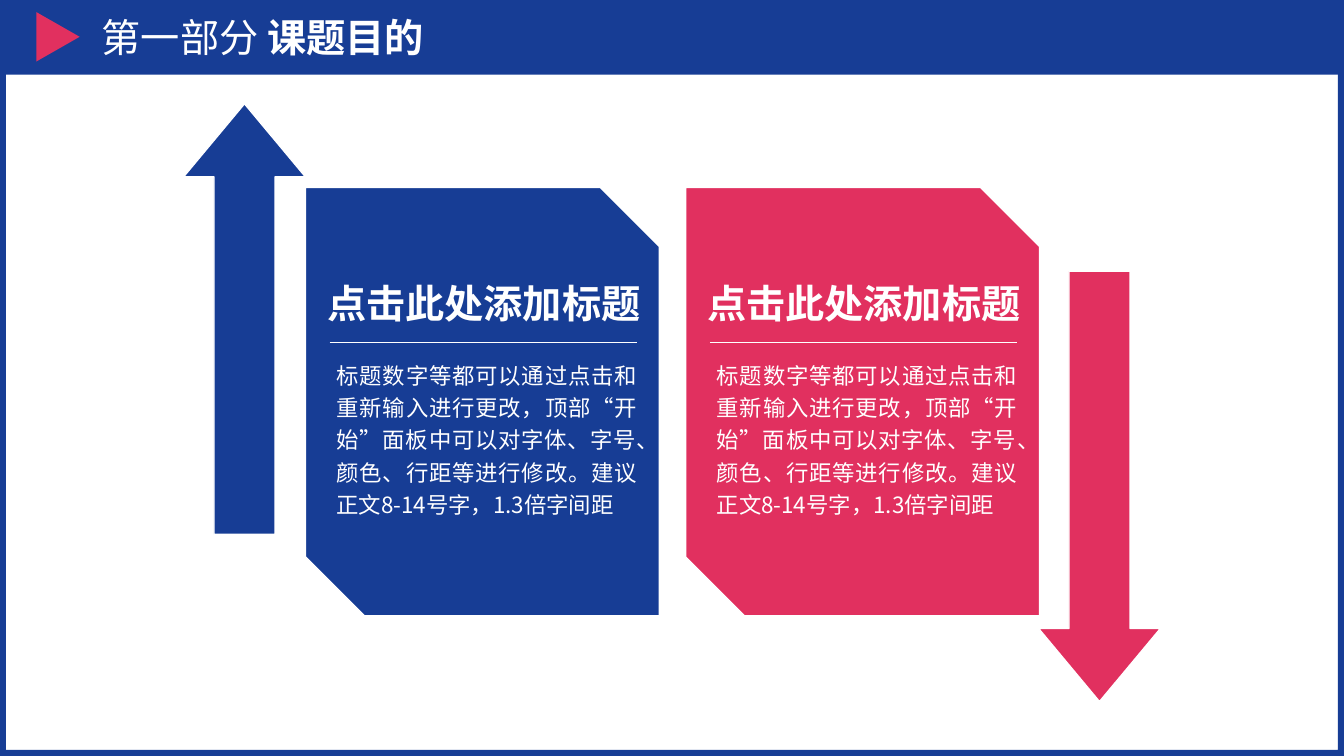
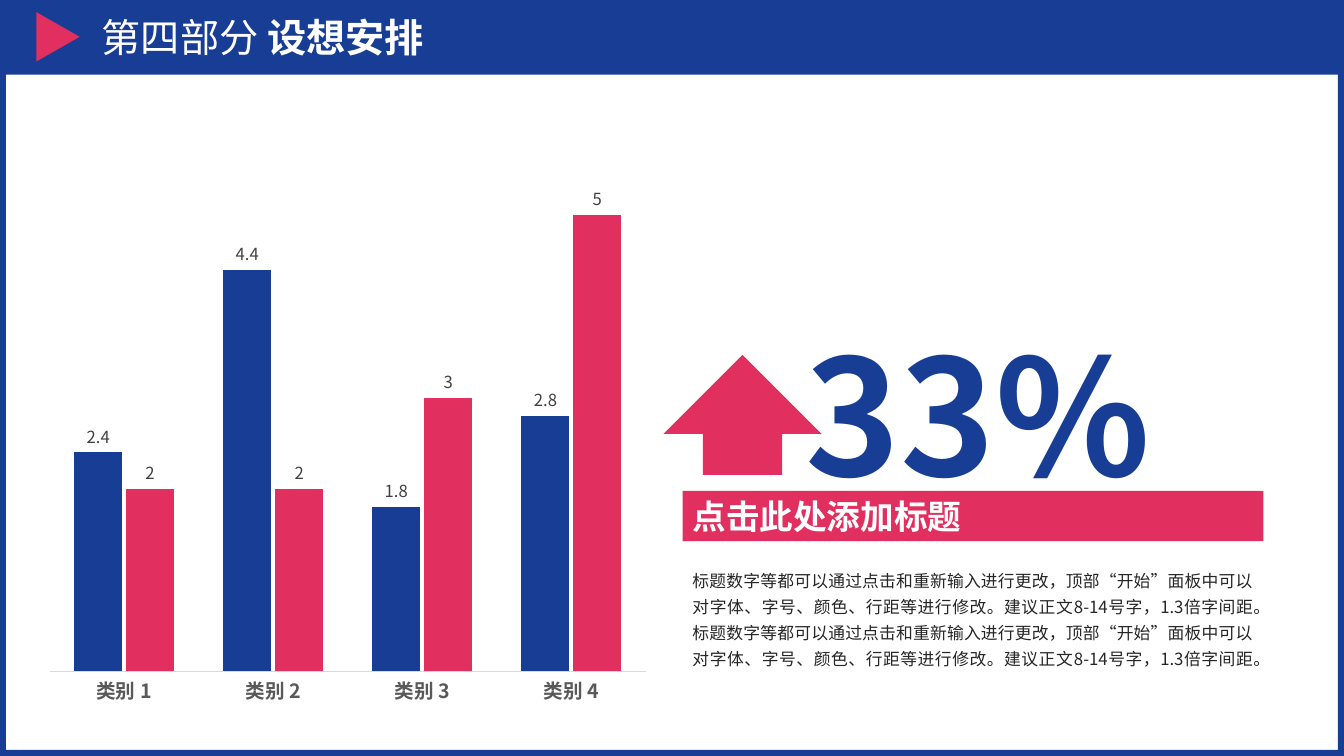
import dataclasses

import lxml.etree
import pptx
import pptx.chart.data
import pptx.dml.color
import pptx.enum.chart
import pptx.enum.shapes
import pptx.enum.text
import pptx.oxml.ns
import pptx.util

Inches = pptx.util.Inches
Pt = pptx.util.Pt
Color = pptx.dml.color.RGBColor
Shape = pptx.enum.shapes.MSO_SHAPE
Align = pptx.enum.text.PP_ALIGN
Anchor = pptx.enum.text.MSO_ANCHOR
Fit = pptx.enum.text.MSO_AUTO_SIZE
qn = pptx.oxml.ns.qn


@dataclasses.dataclass(frozen=True)
class Theme:
    face: str = "Noto Sans CJK SC"
    blue: Color = Color(0x17, 0x3D, 0x95)
    red: Color = Color(0xE1, 0x30, 0x5F)
    white: Color = Color(0xFF, 0xFF, 0xFF)
    ink: Color = Color(0x26, 0x26, 0x26)
    label: Color = Color(0x40, 0x40, 0x40)
    tick: Color = Color(0x59, 0x59, 0x59)
    axis: Color = Color(0xD9, 0xD9, 0xD9)
    title: float = 28
    bar: float = 24
    body: float = 16
    note: float = 12
    huge: float = 115


THEME = Theme()
HEAD = "点击此处添加标题"
BODY = ("标题数字等都可以通过点击和重新输入进行更改，顶部“开始”面板中可以"
        "对字体、字号、颜色、行距等进行修改。建议正文8-14号字，1.3倍字间距")


def style(font, size, color, bold=False):
    font.name = THEME.face
    font.size = Pt(size)
    font.bold = bold
    font.color.rgb = color


def style_para(para, size, color, bold=False, align=Align.LEFT, lead=None):
    style(para.font, size, color, bold)
    east = lxml.etree.SubElement(para._p.pPr.find(qn("a:defRPr")), qn("a:ea"))
    east.set("typeface", THEME.face)
    para.alignment = align
    if lead:
        para.line_spacing = lead


def add_form(slide, kind, box, fill, edge=None):
    form = slide.shapes.add_shape(kind, *map(Inches, box))
    form.shadow.inherit = False
    form.fill.solid()
    form.fill.fore_color.rgb = fill
    if edge is None:
        form.line.fill.background()
    else:
        form.line.color.rgb = edge
        form.line.width = Pt(1)
    return form


def add_text(slide, box, text, size, color, wrap=True, **look):
    frame = slide.shapes.add_textbox(*map(Inches, box)).text_frame
    frame.word_wrap = wrap
    frame.auto_size = Fit.SHAPE_TO_FIT_TEXT
    para = frame.paragraphs[0]
    para.text = text
    style_para(para, size, color, **look)


def add_rule(slide, left, top, width):
    rule = slide.shapes.add_connector(
        pptx.enum.shapes.MSO_CONNECTOR.STRAIGHT,
        Inches(left), Inches(top), Inches(left + width), Inches(top))
    rule.line.color.rgb = THEME.white
    rule.line.width = Pt(0.25)
    lxml.etree.SubElement(rule.element.spPr, qn("a:effectLst"))


def dress_layout(layout, slide):
    frame = add_form(slide, Shape.FRAME, (0, 0, 13.33, 7.5), THEME.blue)
    frame.adjustments[0] = 0.008
    band = add_form(slide, Shape.RECTANGLE, (0, 0, 13.33, 0.74), THEME.blue)
    mark = add_form(slide, Shape.ISOSCELES_TRIANGLE,
                    (0.33, 0.15, 0.49, 0.43), THEME.red)
    mark.rotation = 90
    for spot, part in enumerate((frame, band, mark), 2):
        layout.shapes.element.insert(spot, part.element)


def set_title(slide, part, topic):
    title = slide.shapes.title
    title.left, title.top = Inches(0.91), Inches(0)
    title.width, title.height = Inches(11.98), Inches(0.74)
    title.text_frame.vertical_anchor = Anchor.MIDDLE
    para = title.text_frame.paragraphs[0]
    para.space_before = Pt(10)
    para.add_run().text = part + " "
    run = para.add_run()
    run.text = topic
    run.font.bold = True
    style_para(para, THEME.title, THEME.white)


def add_card(slide, left, top, color):
    add_form(slide, Shape.SNIP_2_DIAG_RECTANGLE,
             (left, top, 3.51, 4.25), color, THEME.white)
    add_text(slide, (left + 0.08, top + 0.86, 3.34, 0.57), HEAD,
             THEME.title, THEME.white, wrap=False, bold=True,
             align=Align.RIGHT)
    add_rule(slide, left + 0.24, top + 1.53, 3.05)
    add_text(slide, (left + 0.21, top + 1.63, 3.18, 1.72), BODY,
             THEME.body, THEME.white, align=Align.JUSTIFY, lead=1.2)


def add_arrow(slide, kind, left, top, color):
    arrow = add_form(slide, kind, (left, top, 1.21, 4.27), color, THEME.white)
    arrow.adjustments[0] = 0.5
    arrow.adjustments[1] = 0.6


def fill_goals(slide):
    set_title(slide, "第一部分", "课题目的")
    add_card(slide, 3.03, 1.86, THEME.blue)
    add_card(slide, 6.8, 1.86, THEME.red)
    add_arrow(slide, Shape.UP_ARROW, 1.82, 1.03, THEME.blue)
    add_arrow(slide, Shape.DOWN_ARROW, 10.3, 2.69, THEME.red)


def add_bars(slide, box):
    data = pptx.chart.data.CategoryChartData()
    data.categories = [f"类别 {n}" for n in range(1, 5)]
    data.add_series("Series 1", (2.4, 4.4, 1.8, 2.8))
    data.add_series("Series 2", (2, 2, 3, 5))
    chart = slide.shapes.add_chart(
        pptx.enum.chart.XL_CHART_TYPE.COLUMN_CLUSTERED,
        *map(Inches, box), data).chart
    chart.has_legend = False
    chart.has_title = False
    chart.font.name = THEME.face
    chart.font.size = Pt(10)
    value = chart.value_axis
    value.visible = False
    value.has_major_gridlines = False
    value.minimum_scale, value.maximum_scale = 0, 6
    base = chart.category_axis
    base.major_tick_mark = pptx.enum.chart.XL_TICK_MARK.NONE
    base.format.line.color.rgb = THEME.axis
    base.format.line.width = Pt(0.75)
    style(base.tick_labels.font, 14, THEME.tick, True)
    plot = chart.plots[0]
    plot.gap_width, plot.overlap = 102, -8
    plot.vary_by_categories = False
    for series, color in zip(plot.series, (THEME.blue, THEME.red)):
        series.format.fill.solid()
        series.format.fill.fore_color.rgb = color
        labels = series.data_labels
        labels.show_value = True
        labels.position = pptx.enum.chart.XL_LABEL_POSITION.OUTSIDE_END
        style(labels.font, 11.9, THEME.label)


def add_growth(slide, left, top):
    add_text(slide, (left + 1.27, top, 3.69, 2.04), "33%", THEME.huge,
             THEME.blue, wrap=False, bold=True, align=Align.CENTER)
    arrow = add_form(slide, Shape.UP_ARROW,
                     (left, top + 0.44, 1.57, 1.19), THEME.red)
    arrow.adjustments[0] = 0.5
    arrow.adjustments[1] = 0.66
    bar = add_form(slide, Shape.RECTANGLE,
                   (left + 0.19, top + 1.79, 5.76, 0.5), THEME.red)
    bar.text_frame.vertical_anchor = Anchor.MIDDLE
    para = bar.text_frame.paragraphs[0]
    para.text = HEAD
    style_para(para, THEME.bar, THEME.white, True)
    add_text(slide, (left + 0.19, top + 2.47, 5.76, 1.15), (BODY + "。") * 2,
             THEME.note, THEME.ink, align=Align.JUSTIFY, lead=1.3)


def fill_plan(slide):
    set_title(slide, "第四部分", "设想安排")
    add_bars(slide, (0.37, 1.11, 6.16, 5.99))
    add_growth(slide, 6.58, 3.08)


def main():
    deck = pptx.Presentation()
    deck.slide_width, deck.slide_height = Inches(13.33), Inches(7.5)
    layout = deck.slide_layouts[5]
    goals, plan = (deck.slides.add_slide(layout) for _ in range(2))
    dress_layout(layout, goals)
    fill_goals(goals)
    fill_plan(plan)
    deck.save("out.pptx")


if __name__ == "__main__":
    main()
